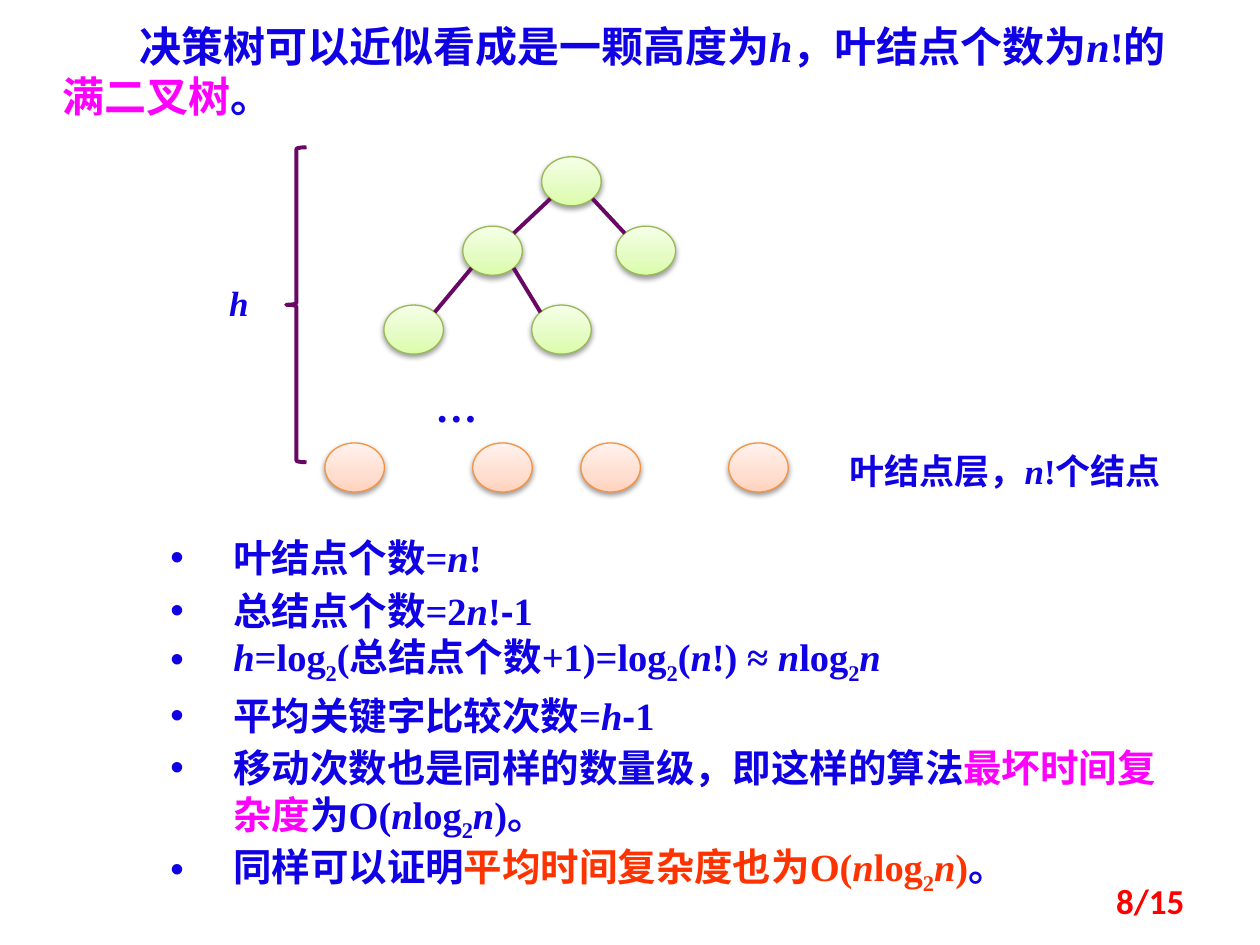
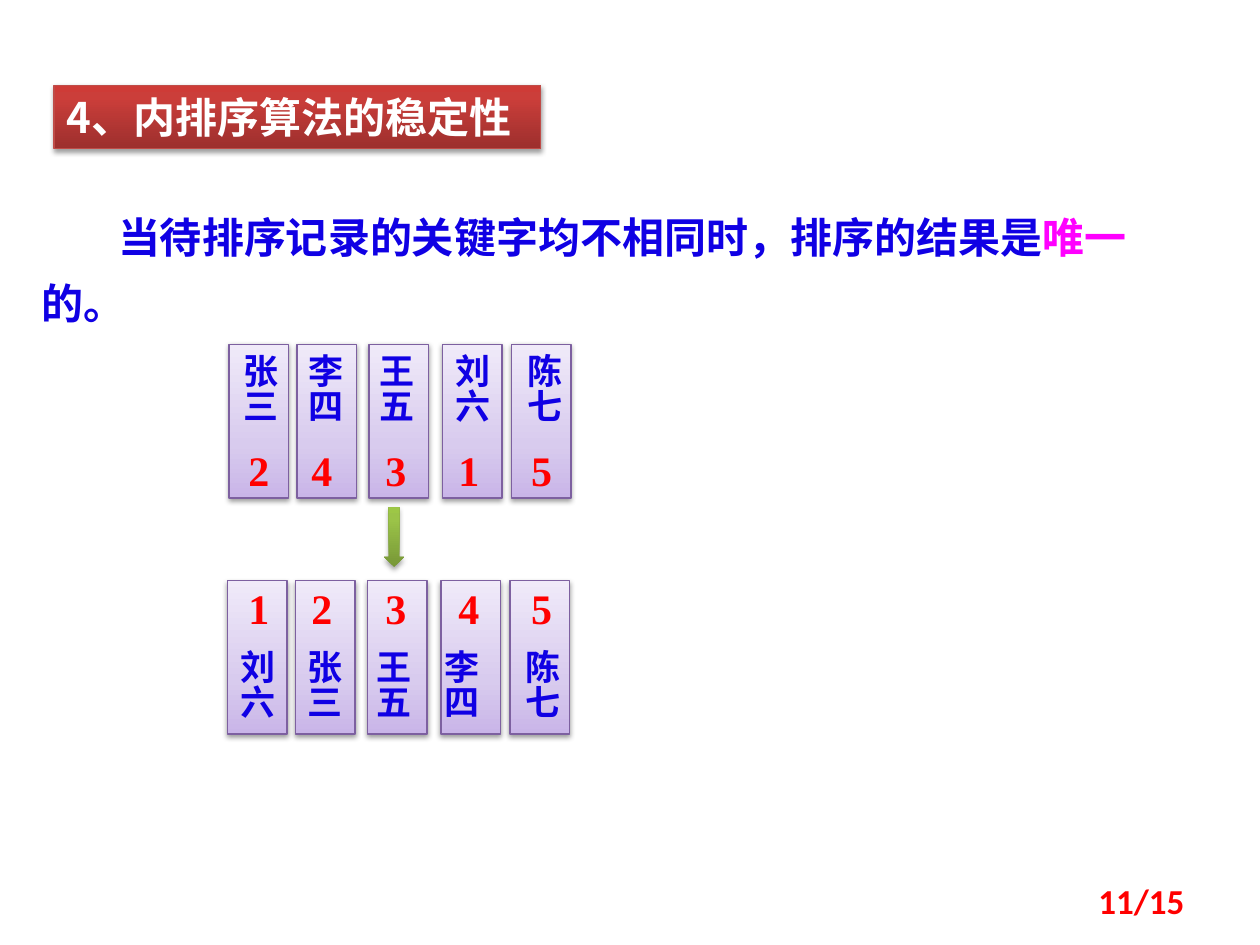
from lxml import etree
from pptx import Presentation
from pptx.dml.color import RGBColor
from pptx.enum.shapes import MSO_CONNECTOR as Connector, MSO_SHAPE as Shape
from pptx.enum.text import MSO_ANCHOR as Anchor, MSO_AUTO_SIZE as AutoSize, PP_ALIGN as Align
from pptx.oxml.ns import qn
from pptx.util import Cm, Pt

BLUE, PINK, RED, ORANGE, PURPLE = "1000E4", "FF00FF", "FF0000", "FF3300", "690764"
SERIF, HAN = "Times New Roman", "Noto Sans CJK SC"

# Gradient stops run from the bottom edge to the top edge.
GREEN_NODE = {"stops": [(0, "DAFDA7"), (35, "E4FCC2"), (100, "F5FFE7")], "outline": "98B955"}
LEAF_NODE = {"stops": [(0, "FFD2BD"), (35, "FFDED0"), (100, "FFF2ED")], "outline": "F69240"}
CARD = {"stops": [(0, "C9B5E8"), (35, "D8CBEE"), (100, "F0EAF9")], "outline": "7D60A0"}
BANNER = {"stops": [(0, "9C2F2D"), (80, "CB3E3A"), (100, "CE3B37")], "outline": "BF4C48"}
GREEN_ARROW = {"stops": [(0, "779737"), (80, "9BC348"), (100, "9DC746")], "outline": None}

TEXT = {"name": SERIF, "size": Pt(24), "bold": True, "italic": False, "color": BLUE}
ITALIC = {"italic": True}
SUB = {"baseline": "-25000"}
HYPHEN = ("-", {"name": "Arial"})
N, H = ("n", ITALIC), ("h", ITALIC)
N_LOG_N = [N, "log", ("2", SUB), N]

NODE_W, NODE_H = 1.2, 0.99
CARD_W, CARD_H = 1.2, 3.1


def rgb(value):
    return RGBColor.from_string(value)


def add_span(para, text, style):
    span = para.add_run()
    span.text = text
    for name in ("name", "size", "bold", "italic"):
        setattr(span.font, name, style[name])
    span.font.color.rgb = rgb(style["color"])
    props = span.font._element
    etree.SubElement(props, qn("a:ea")).set("typeface", HAN)
    if "baseline" in style:
        props.set("baseline", style["baseline"])


def write(box, paragraphs, style=None, **para_format):
    """Fill a box; each paragraph is a list of strings or (string, changes) pairs."""
    frame = box.text_frame
    frame.word_wrap = True
    frame.auto_size = AutoSize.NONE
    base = {**TEXT, **(style or {})}
    for index, spans in enumerate(paragraphs):
        para = frame.add_paragraph() if index else frame.paragraphs[0]
        for name, value in para_format.items():
            setattr(para, name, value)
        for span in spans:
            text, changes = (span, {}) if isinstance(span, str) else span
            add_span(para, text, {**base, **changes})


def indent(box, margin, first_line):
    for para in box.text_frame.paragraphs:
        props = para._p.get_or_add_pPr()
        props.set("marL", str(Cm(margin)))
        props.set("indent", str(Cm(first_line)))


def place(box, left, top, width, height):
    box.left, box.top, box.width, box.height = map(Cm, (left, top, width, height))
    return box


def add_text(page, area, spans, style=None, **para_format):
    box = page.shapes.add_textbox(*map(Cm, area))
    write(box, [spans], style, **para_format)
    return box


def paint(shape, look):
    """Give a shape a vertical gradient, an outline and a soft shadow below."""
    shape.fill.gradient()
    shape.fill.gradient_angle = 90
    stops = shape._element.spPr.find(qn("a:gradFill")).find(qn("a:gsLst"))
    for stop in list(stops):
        stops.remove(stop)
    for position, color in look["stops"]:
        stop = etree.SubElement(stops, qn("a:gs"), pos=str(position * 1000))
        etree.SubElement(stop, qn("a:srgbClr"), val=color)
    if look["outline"]:
        shape.line.color.rgb = rgb(look["outline"])
        shape.line.width = Pt(0.75)
    else:
        shape.line.fill.background()
    shape.shadow.inherit = False
    effects = shape._element.spPr.find(qn("a:effectLst"))
    shadow = etree.SubElement(effects, qn("a:outerShdw"), blurRad=str(Pt(3.1)),
                              dist=str(Pt(1.6)), dir="5400000", rotWithShape="0")
    color = etree.SubElement(shadow, qn("a:srgbClr"), val="000000")
    etree.SubElement(color, qn("a:alpha"), val="38000")


def add_painted(page, kind, area, look):
    shape = page.shapes.add_shape(kind, *map(Cm, area))
    paint(shape, look)


def add_node(page, left, top, look):
    add_painted(page, Shape.OVAL, (left, top, NODE_W, NODE_H), look)


def add_branch(page, parent, child):
    """Join the facing diagonal points of two nodes."""
    side = 1 if child[0] > parent[0] else -1
    across, down = 0.354 * NODE_W * side, 0.354 * NODE_H
    start = parent[0] + NODE_W / 2 + across, parent[1] + NODE_H / 2 + down
    end = child[0] + NODE_W / 2 - across, child[1] + NODE_H / 2 - down
    line = page.shapes.add_connector(Connector.STRAIGHT, *map(Cm, start + end))
    line.line.color.rgb = rgb(PURPLE)
    line.line.width = Pt(2.25)
    etree.SubElement(line._element.spPr, qn("a:effectLst"))


def add_brace(page, area):
    brace = page.shapes.add_shape(Shape.LEFT_BRACE, *map(Cm, area))
    brace.fill.background()
    brace.line.color.rgb = rgb(PURPLE)
    brace.line.width = Pt(2.25)
    brace.shadow.inherit = False


def add_page_number(page, number):
    box = add_text(page, (18.21, 17.65, 5.92, 1.02), [f"{number}/15"],
                   {"name": "Calibri", "size": Pt(20), "color": RED}, alignment=Align.RIGHT)
    box.text_frame.vertical_anchor = Anchor.MIDDLE


def add_card_row(page, lefts, top, names, name_lefts, name_top, digits, digit_top):
    for left in lefts:
        add_painted(page, Shape.RECTANGLE, (left, top, CARD_W, CARD_H), CARD)
    for center, digit in zip((5.22, 6.49, 7.98, 9.45, 10.92), digits):
        add_text(page, (center - 0.6, digit_top, 1.2, 1.27), [digit], {"color": RED},
                 alignment=Align.CENTER)
    for left, name in zip(name_lefts, names):
        box = add_text(page, (left, name_top, 0.86, 1.6), [name], {"name": HAN, "size": Pt(20)})
        frame = box.text_frame
        for side in ("left", "top", "right", "bottom"):
            setattr(frame, f"margin_{side}", 0)
        frame._txBody.bodyPr.set("vert", "eaVert")


def build_decision_tree(deck):
    page = deck.slides.add_slide(deck.slide_layouts[1])
    title = place(page.shapes.title, 1, 0.28, 23.2, 2.31)
    title.text_frame.vertical_anchor = Anchor.TOP
    write(title, [["决策树可以近似看成是一颗高度为", H, "，叶结点个数为", N, "!的",
                   ("满二叉树", {"color": PINK}), "。"]], alignment=Align.LEFT)
    indent(title, 0, 1.55)

    root, left, right = (10.92, 3.16), (9.33, 4.56), (12.42, 4.56)
    left_left, left_right = (7.74, 6.15), (10.72, 6.15)
    for node in (root, left, right, left_left, left_right):
        add_node(page, *node, GREEN_NODE)
    for parent, child in ((root, left), (root, right), (left, left_left), (left, left_right)):
        add_branch(page, parent, child)
    for leaf_left in (6.55, 9.53, 11.71, 14.69):
        add_node(page, leaf_left, 8.93, LEAF_NODE)

    small = {"size": Pt(20)}
    add_text(page, (8.53, 7.54, 2.97, 1.27), ["…"])
    add_text(page, (16.87, 8.94, 7.34, 1.12), ["叶结点层，", N, "!个结点"], small)
    add_brace(page, (5.77, 2.97, 0.41, 6.35))
    add_text(page, (4.37, 5.56, 1.4, 1.12), [H], small)

    facts = place(page.placeholders[1], 3.18, 10.52, 20.83, 7.75)
    average = ["平均时间复杂度也为O(", *N_LOG_N, ")"]
    pairs = [(span, {}) if isinstance(span, str) else span for span in average]
    write(facts, [
        ["叶结点个数=", N, "!"],
        ["总结点个数=2", N, "!", HYPHEN, "1"],
        [H, "=log", ("2", SUB), "(总结点个数+1)=log", ("2", SUB), "(", N, "!) ≈ ", *N_LOG_N],
        ["平均关键字比较次数=", H, HYPHEN, "1"],
        ["移动次数也是同样的数量级，即这样的算法", ("最坏时间复杂度", {"color": PINK}),
         "为O(", *N_LOG_N, ")。"],
        ["同样可以证明", *[(text, {**changes, "color": ORANGE}) for text, changes in pairs], "。"],
    ], {"size": Pt(22)}, line_spacing=Pt(30), space_before=Pt(0))
    indent(facts, 1.27, -1.27)
    add_page_number(page, 8)


def build_stability(deck):
    page = deck.slides.add_slide(deck.slide_layouts[5])
    title = place(page.shapes.title, 1.09, 1.72, 9.81, 1.28)
    title.text_frame.vertical_anchor = Anchor.TOP
    paint(title, BANNER)
    write(title, [["4、内排序算法的稳定性"]], {"name": HAN, "color": "FFFFFF"},
          alignment=Align.LEFT)
    statement = add_text(page, (0.58, 3.84, 23.15, 2.92),
                         ["当待排序记录的关键字均不相同时，排序的结果是",
                          ("唯一", {"color": PINK}), "的。"], line_spacing=1.3)
    indent(statement, 0, 1.55)

    card_lefts = (4.62, 5.99, 7.44, 8.92, 10.31)
    add_card_row(page, card_lefts, 6.94, ("张三", "李四", "王五", "刘六", "陈七"),
                 (4.8, 6.12, 7.54, 9.07, 10.52), 7.14, "24315", 8.84)
    add_painted(page, Shape.DOWN_ARROW, (7.74, 10.23, 0.41, 1.2), GREEN_ARROW)
    add_card_row(page, [left - 0.03 for left in card_lefts], 11.7,
                 ("刘六", "张三", "王五", "李四", "陈七"),
                 (4.75, 6.1, 7.49, 8.86, 10.49), 13.1, "12345", 11.61)
    add_page_number(page, 11)


def main():
    deck = Presentation()
    deck.slide_width, deck.slide_height = Cm(25.4), Cm(19.05)
    build_decision_tree(deck)
    build_stability(deck)
    deck.save("out.pptx")


if __name__ == "__main__":
    main()
